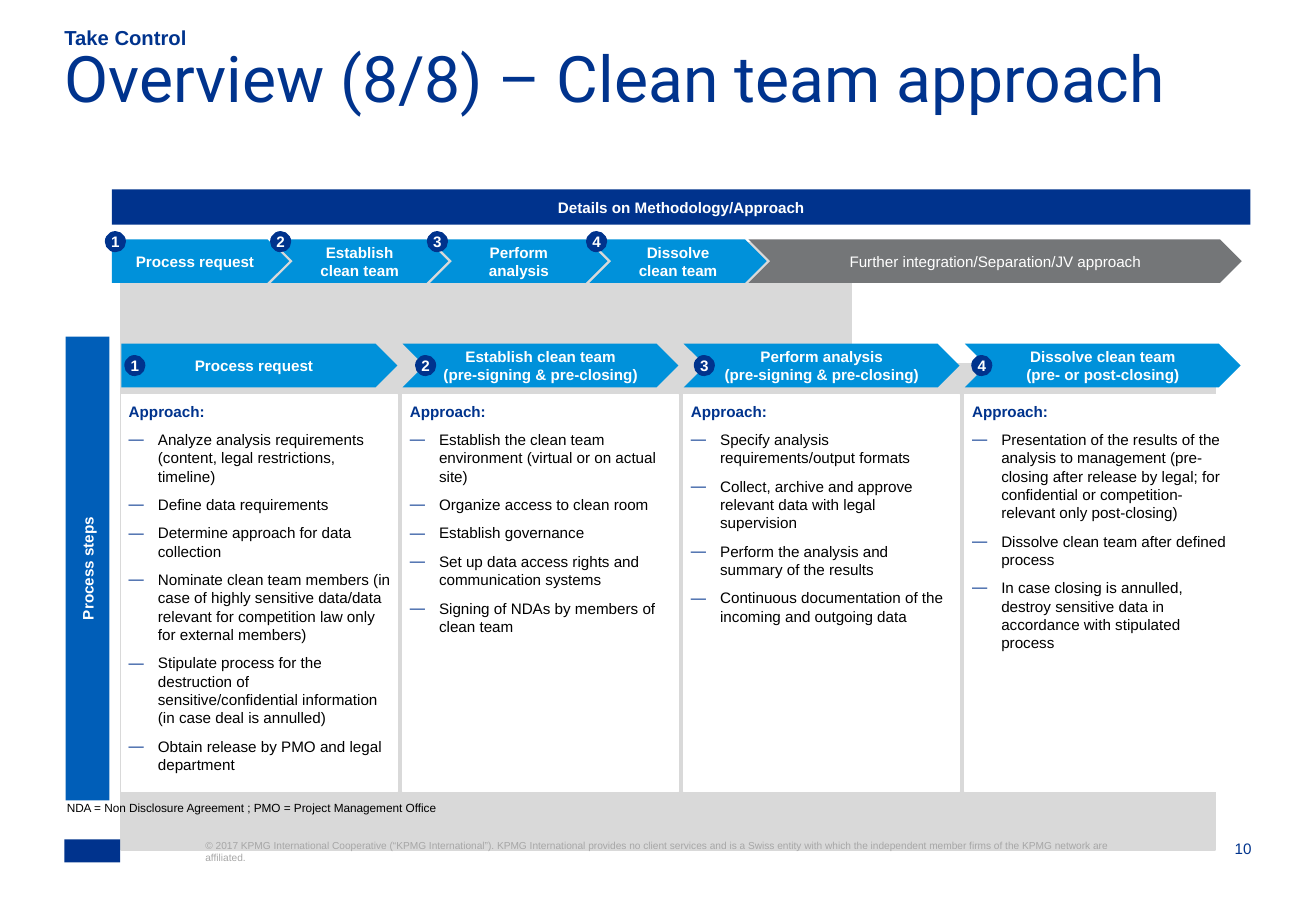
from lxml import etree
from pptx import Presentation
from pptx.dml.color import RGBColor
from pptx.enum.shapes import MSO_SHAPE
from pptx.enum.text import MSO_ANCHOR, PP_ALIGN
from pptx.oxml.ns import qn
from pptx.util import Inches, Pt

RECTANGLE, OVAL = MSO_SHAPE.RECTANGLE, MSO_SHAPE.OVAL
PENTAGON, CHEVRON = MSO_SHAPE.PENTAGON, MSO_SHAPE.CHEVRON
TOP, MIDDLE, BOTTOM = MSO_ANCHOR.TOP, MSO_ANCHOR.MIDDLE, MSO_ANCHOR.BOTTOM
LEFT, CENTER, RIGHT = PP_ALIGN.LEFT, PP_ALIGN.CENTER, PP_ALIGN.RIGHT

COLORS = {
    "navy": "00338D", "blue": "005EB8", "sky": "0091DA", "slate": "747678",
    "panel": "D9D9D9", "footer": "A6A6A6", "white": "FFFFFF", "black": "000000",
}

WIDTH, HEIGHT = 10.83, 7.5
MARGIN = 0.53
BAND_HEIGHT = 0.36
BADGE = 0.16
PHASE_LEFT, PHASE_PITCH, PHASE_WIDTH, PHASE_TOP = 0.92, 1.31, 1.46, 1.97
STEP_LEFT, STEP_PITCH, STEP_WIDTH, STEP_TOP = 1.0, 6.94 / 3, 2.27, 2.83
BODY_TOP, BODY_HEIGHT = 3.25, 3.27

PHASES = [
    ("Process request", -0.05),
    ("Establish\nclean team", 0),
    ("Perform\nanalysis", -0.02),
    ("Dissolve\nclean team", -0.02),
]

STEPS = [
    ("Process request", 0.03, [
        "Analyze analysis requirements (content, legal restrictions, timeline)",
        "Define data requirements",
        "Determine approach for data collection",
        "Nominate clean team members (in case of highly sensitive data/data "
        "relevant for competition law only for external members)",
        "Stipulate process for the destruction of sensitive/confidential "
        "information (in case deal is annulled)",
        "Obtain release by PMO and legal department",
    ]),
    ("Establish clean team\n(pre-signing & pre-closing)", 0.11, [
        "Establish the clean team environment (virtual or on actual site)",
        "Organize access to clean room",
        "Establish governance",
        "Set up data access rights and communication systems",
        "Signing of NDAs by members of clean team",
    ]),
    ("Perform analysis\n(pre-signing & pre-closing)", 0.09, [
        "Specify analysis requirements/output formats",
        "Collect, archive and approve relevant data with legal supervision",
        "Perform the analysis and summary of the results",
        "Continuous documentation of the incoming and outgoing data",
    ]),
    ("Dissolve clean team\n(pre- or post-closing)", 0.06, [
        "Presentation of the results of the analysis to management (pre-closing "
        "after release by legal; for confidential or competition-relevant only "
        "post-closing)",
        "Dissolve clean team after defined process",
        "In case closing is annulled, destroy sensitive data in accordance with "
        "stipulated process",
    ]),
]


def color(name):
    return RGBColor.from_string(COLORS[name])


def paint(shape, fill, line=None, line_width=1):
    shape.shadow.inherit = False
    shape.fill.solid()
    shape.fill.fore_color.rgb = color(fill)
    if line:
        shape.line.color.rgb = color(line)
        shape.line.width = Pt(line_width)
    else:
        shape.line.fill.background()


def add_bullet(paragraph):
    properties = paragraph._p.get_or_add_pPr()
    properties.set("marL", str(Inches(0.24)))
    properties.set("indent", str(-Inches(0.24)))
    bullet_color = etree.SubElement(properties, qn("a:buClr"))
    etree.SubElement(bullet_color, qn("a:srgbClr"), val=COLORS["navy"])
    etree.SubElement(properties, qn("a:buFont"), typeface="Arial")
    etree.SubElement(properties, qn("a:buChar"), char="—")


def write(frame, text, size=9, fill="white", bold=False, font="Arial", align=LEFT,
          bullet=False, after=0, spacing=None):
    for line in text.split("\n"):
        paragraph = frame.paragraphs[0]
        if paragraph.runs:
            paragraph = frame.add_paragraph()
        paragraph.alignment = align
        paragraph.space_after = Pt(after)
        if spacing:
            paragraph.line_spacing = spacing
        if bullet:
            add_bullet(paragraph)
        run = paragraph.add_run()
        run.text = line
        run.font.name = font
        run.font.size = Pt(size)
        run.font.bold = bold
        run.font.color.rgb = color(fill)


def set_frame(shape, anchor, inset=(0, 0), wrap=True):
    frame = shape.text_frame
    frame.word_wrap = wrap
    frame.vertical_anchor = anchor
    frame.margin_left = frame.margin_right = Inches(inset[0])
    frame.margin_top = frame.margin_bottom = Inches(inset[1])
    return frame


def add_label(slide, box, text, anchor=TOP, wrap=True, **format):
    shape = slide.shapes.add_textbox(*map(Inches, box))
    write(set_frame(shape, anchor, wrap=wrap), text, **format)


def add_block(slide, kind, box, text, fill, inset=(0.04, 0.05), bold=True):
    shape = slide.shapes.add_shape(kind, *map(Inches, box))
    paint(shape, fill)
    write(set_frame(shape, MIDDLE, inset), text, bold=bold, align=CENTER)
    return shape


def add_badge(slide, left, top, number):
    shape = slide.shapes.add_shape(OVAL, *map(Inches, (left, top, BADGE, BADGE)))
    paint(shape, "navy", "navy")
    write(set_frame(shape, MIDDLE, wrap=False), str(number), bold=True, align=CENTER)


def curve(start, first, second, end, count=24):
    points = []
    for index in range(1, count + 1):
        t = index / count
        weights = ((1 - t) ** 3, 3 * t * (1 - t) ** 2, 3 * t * t * (1 - t), t ** 3)
        points.append(tuple(
            sum(weight * value for weight, value in zip(weights, values))
            for values in zip(start, first, second, end)))
    return points


def add_panel(slide):
    start = (0.92, 2.37)
    outline = [(6.12, 2.38)]
    outline += curve(outline[0], (7.94, 2.53), (8.48, 2.66), (10.3, 2.8))
    outline += [(10.31, 6.59), (0.93, 6.58)]
    outline += curve(outline[-1], (0.93, 5.17), (0.95, 3.77), start)
    builder = slide.shapes.build_freeform(*start, scale=Inches(1))
    builder.add_line_segments(outline, close=True)
    paint(builder.convert_to_shape(), "panel", "panel", 1.5)


def add_phases(slide):
    add_block(slide, CHEVRON, (PHASE_LEFT + 4 * PHASE_PITCH, PHASE_TOP, 4.06, BAND_HEIGHT),
              "Further integration/Separation/JV approach", "slate", bold=False)
    for index, (title, badge_offset) in enumerate(PHASES):
        left = PHASE_LEFT + index * PHASE_PITCH
        add_block(slide, CHEVRON if index else PENTAGON,
                  (left, PHASE_TOP, PHASE_WIDTH, BAND_HEIGHT), title, "sky")
        add_badge(slide, left + badge_offset, PHASE_TOP - 0.06, index + 1)


def add_steps(slide):
    for index, (title, badge_offset, tasks) in enumerate(STEPS):
        left = STEP_LEFT + index * STEP_PITCH
        add_block(slide, CHEVRON if index else PENTAGON,
                  (left, STEP_TOP, STEP_WIDTH, BAND_HEIGHT), title, "sky")
        body = slide.shapes.add_shape(
            RECTANGLE, *map(Inches, (left, BODY_TOP, STEP_WIDTH, BODY_HEIGHT)))
        paint(body, "white", "white", 0.75)
        frame = set_frame(body, TOP, (0.06, 0.06))
        write(frame, "Approach:", fill="navy", bold=True, after=6)
        write(frame, "\n".join(tasks), fill="black", bullet=True, after=6)
        add_badge(slide, left + badge_offset, STEP_TOP + 0.1, index + 1)


def add_footer(slide):
    add_label(slide, (0.55, 6.59, 3.1, 0.12),
              "NDA = Non Disclosure Agreement ; PMO = Project Management Office",
              size=7, fill="black", wrap=False)
    mark = slide.shapes.add_shape(RECTANGLE, *map(Inches, (MARGIN, 6.91, 0.46, 0.19)))
    paint(mark, "navy")
    add_label(slide, (1.69, 6.91, 7.49, 0.41),
              "© 2017 KPMG International Cooperative (“KPMG International”). KPMG "
              "International provides no client services and is a Swiss entity with which "
              "the independent member firms of the KPMG network are affiliated.",
              size=6, fill="footer")
    add_label(slide, (9.87, 6.91, 0.43, 0.16), "10", fill="navy", align=RIGHT)


def main():
    presentation = Presentation()
    presentation.slide_width, presentation.slide_height = Inches(WIDTH), Inches(HEIGHT)
    slide = presentation.slides.add_slide(presentation.slide_layouts[6])
    add_panel(slide)
    add_label(slide, (MARGIN, 0.22, 9.4, 0.19), "Take Control", anchor=BOTTOM,
              size=12, fill="navy", bold=True)
    add_label(slide, (MARGIN, 0.49, 9.76, 0.79), "Overview (8/8) – Clean team approach",
              size=38, fill="navy", font="Roboto", spacing=0.7)
    add_block(slide, RECTANGLE, (PHASE_LEFT, 1.56, 9.37, 0.29),
              "Details on Methodology/Approach", "navy")
    add_phases(slide)
    add_steps(slide)
    side = add_block(slide, RECTANGLE, (-1.19, 4.5, 3.82, BAND_HEIGHT), "Process steps", "blue")
    side.rotation = 270
    add_footer(slide)
    presentation.save("out.pptx")


if __name__ == "__main__":
    main()
